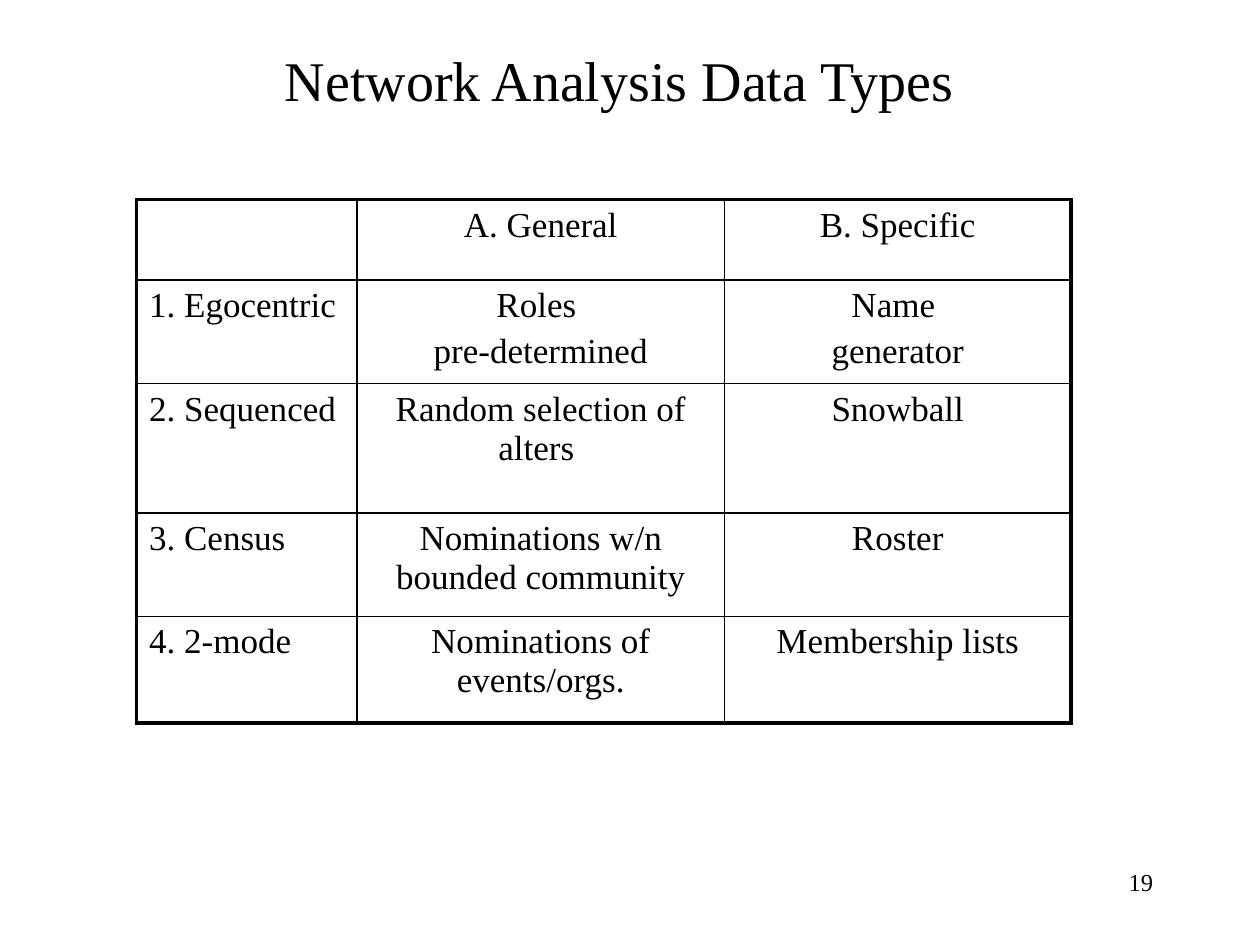
from lxml import etree
from pptx import Presentation
from pptx import util as u
from pptx.dml.color import RGBColor
from pptx.enum import text
from pptx.oxml.ns import qn

BLACK = "000000"
COLUMN_WIDTHS = [126, 210, 198]
ROW_HEIGHTS = [46, 59, 74, 59, 61]
DATA_TYPES = [
    ["", "A. General", "B. Specific"],
    ["1. Egocentric", "Roles \npre-determined", "Name \ngenerator"],
    ["2. Sequenced", "Random selection of alters ", "Snowball"],
    ["3. Census", "Nominations w/n bounded community", "Roster"],
    ["4. 2-mode", "Nominations of events/orgs.", "Membership lists"],
]


def colour(value):
    return RGBColor.from_string(value)


class SlideBuilder:
    """Holds the text style and the current slide, and draws elements in points."""

    def __init__(self, slide, font="Times New Roman", ink=BLACK):
        self.slide, self.font, self.ink = slide, font, ink

    def set_words(self, frame, words, size, align):
        frame.text = words
        for index, paragraph in enumerate(frame.paragraphs):
            paragraph.alignment = align
            if index:
                paragraph.space_before = u.Pt(4)
            for run in paragraph.runs:
                run.font.name = self.font
                run.font.size = u.Pt(size)
                run.font.color.rgb = colour(self.ink)

    def label(self, words, left, top, width, height, size, align, anchor):
        frame = self.slide.shapes.add_textbox(
            u.Pt(left), u.Pt(top), u.Pt(width), u.Pt(height)).text_frame
        frame.word_wrap = True
        frame.vertical_anchor = anchor
        self.set_words(frame, words, size, align)

    def border(self, cell, side, weight):
        line = etree.SubElement(cell._tc.get_or_add_tcPr(), qn(f"a:{side}"), w=str(u.Pt(weight)))
        fill = etree.SubElement(line, qn("a:solidFill"))
        etree.SubElement(fill, qn("a:srgbClr"), val=self.ink)

    def table(self, rows, left, top, widths, heights, size, inner=1, outer=2.25):
        table = self.slide.shapes.add_table(
            len(rows), len(widths), u.Pt(left), u.Pt(top),
            u.Pt(sum(widths)), u.Pt(sum(heights))).table
        table.first_row = table.horz_banding = False
        for column, width in zip(table.columns, widths):
            column.width = u.Pt(width)
        for row, height in zip(table.rows, heights):
            row.height = u.Pt(height)
        for r, row in enumerate(rows):
            for c, words in enumerate(row):
                cell = table.cell(r, c)
                align = text.PP_ALIGN.CENTER if c else text.PP_ALIGN.LEFT
                self.set_words(cell.text_frame, words, size, align)
                edges = {"lnL": c == 0, "lnR": c == len(widths) - 1,
                         "lnT": r == 0, "lnB": r == len(rows) - 1}
                for side, is_outer in edges.items():
                    self.border(cell, side, outer if is_outer else inner)
                cell.fill.background()


def main():
    deck = Presentation()
    deck.slide_width, deck.slide_height = u.Pt(720), u.Pt(540)
    builder = SlideBuilder(deck.slides.add_slide(deck.slide_layouts[6]))
    builder.label("19", 516, 492, 150, 36, 14, text.PP_ALIGN.RIGHT, text.MSO_ANCHOR.TOP)
    builder.label("Network Analysis Data Types", 48, 0, 612, 90, 32,
                  text.PP_ALIGN.CENTER, text.MSO_ANCHOR.MIDDLE)
    builder.table(DATA_TYPES, 78, 114, COLUMN_WIDTHS, ROW_HEIGHTS, 20)
    deck.save("out.pptx")


if __name__ == "__main__":
    main()
